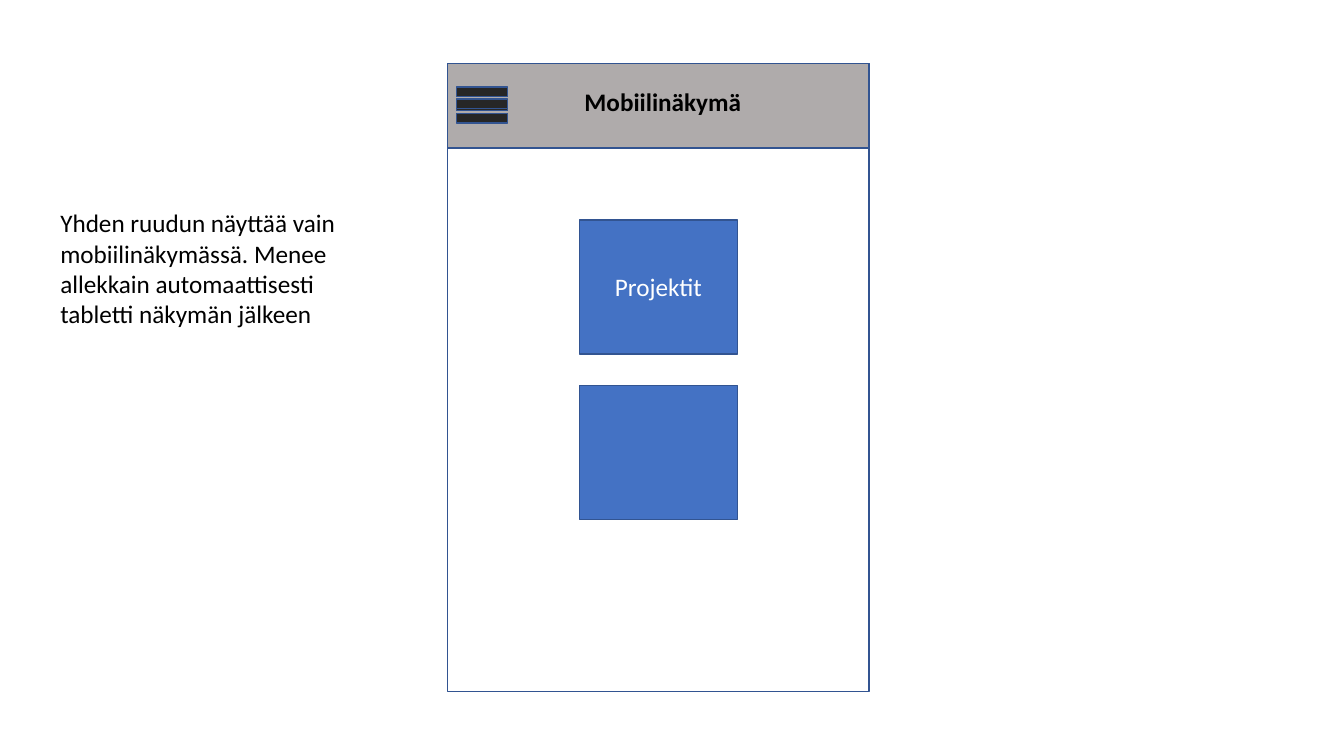
from dataclasses import dataclass

from pptx import Presentation
from pptx.dml.color import RGBColor
from pptx.enum.shapes import MSO_SHAPE
from pptx.enum.text import MSO_ANCHOR, MSO_AUTO_SIZE, PP_ALIGN
from pptx.shapes.autoshape import Shape
from pptx.slide import Slide
from pptx.util import Cm, Pt

RECT, EQUAL = MSO_SHAPE.RECTANGLE, MSO_SHAPE.MATH_EQUAL
LEFT, CENTER = PP_ALIGN.LEFT, PP_ALIGN.CENTER
TOP, MIDDLE = MSO_ANCHOR.TOP, MSO_ANCHOR.MIDDLE
GROW = MSO_AUTO_SIZE.SHAPE_TO_FIT_TEXT


@dataclass(frozen=True)
class Theme:
    white: str = "FFFFFF"
    black: str = "000000"
    gray: str = "AFABAB"
    dark: str = "262626"
    blue: str = "4472C4"
    edge: str = "325491"
    font: str = "Calibri"
    size: int = 18
    line: int = 1


@dataclass(frozen=True)
class Box:
    """Position and size in centimetres."""
    x: float
    y: float
    w: float
    h: float

    def down(self, step: float) -> "Box":
        return Box(self.x, self.y + step, self.w, self.h)

    def lengths(self) -> tuple[Cm, Cm, Cm, Cm]:
        return Cm(self.x), Cm(self.y), Cm(self.w), Cm(self.h)


@dataclass(frozen=True)
class Part:
    box: Box
    fill: str
    kind: MSO_SHAPE = RECT
    text: str = ""


THEME = Theme()
PHONE = Box(11.28, 1.6, 10.62, 15.82)
BAR = Box(PHONE.x, PHONE.y, PHONE.w, 2.13)
MENU = Box(PHONE.x, 1.98, 1.75, 1.02)
CARD = Box(14.6, 5.54, 3.99, 3.38)
MENU_STEP = 0.31
CARD_STEP = 4.17

PARTS = [
    # Phone screen and its top bar
    Part(PHONE, THEME.white),
    Part(BAR, THEME.gray),
    # Menu icon: two equal signs that share the middle stripe
    *(Part(MENU.down(i * MENU_STEP), THEME.dark, EQUAL) for i in range(2)),
    # Stacked cards
    *(Part(CARD.down(i * CARD_STEP), THEME.blue, text=text)
      for i, text in enumerate(("Projektit", ""))),
]


def write(shape: Shape, text: str, *, color: str = THEME.black,
          bold: bool = False, align: PP_ALIGN = LEFT,
          anchor: MSO_ANCHOR = TOP) -> None:
    frame = shape.text_frame
    frame.word_wrap = True
    frame.vertical_anchor = anchor
    para = frame.paragraphs[0]
    para.alignment = align
    run = para.add_run()
    run.text = text
    run.font.name = THEME.font
    run.font.size = Pt(THEME.size)
    run.font.bold = bold
    run.font.color.rgb = RGBColor.from_string(color)


def draw(slide: Slide, part: Part) -> None:
    shape = slide.shapes.add_shape(part.kind, *part.box.lengths())
    shape.shadow.inherit = False
    shape.fill.solid()
    shape.fill.fore_color.rgb = RGBColor.from_string(part.fill)
    shape.line.color.rgb = RGBColor.from_string(THEME.edge)
    shape.line.width = Pt(THEME.line)
    if part.text:
        write(shape, part.text, color=THEME.white, align=CENTER, anchor=MIDDLE)


def label(slide: Slide, box: Box, text: str, bold: bool = False) -> None:
    shape = slide.shapes.add_textbox(*box.lengths())
    write(shape, text, bold=bold)
    shape.text_frame.auto_size = GROW


def main() -> None:
    deck = Presentation()
    deck.slide_width, deck.slide_height = Cm(33.87), Cm(19.05)
    slide = deck.slides.add_slide(deck.slide_layouts[6])
    for part in PARTS:
        draw(slide, part)
    # Side note and screen title
    label(slide, Box(1.27, 5.11, 8.38, 3.33),
          "Yhden ruudun näyttää vain mobiilinäkymässä. Menee allekkain "
          "automaattisesti tabletti näkymän jälkeen")
    label(slide, Box(14.48, 2.06, 6.35, 1.02), "Mobiilinäkymä", bold=True)
    deck.save("out.pptx")


if __name__ == "__main__":
    main()
